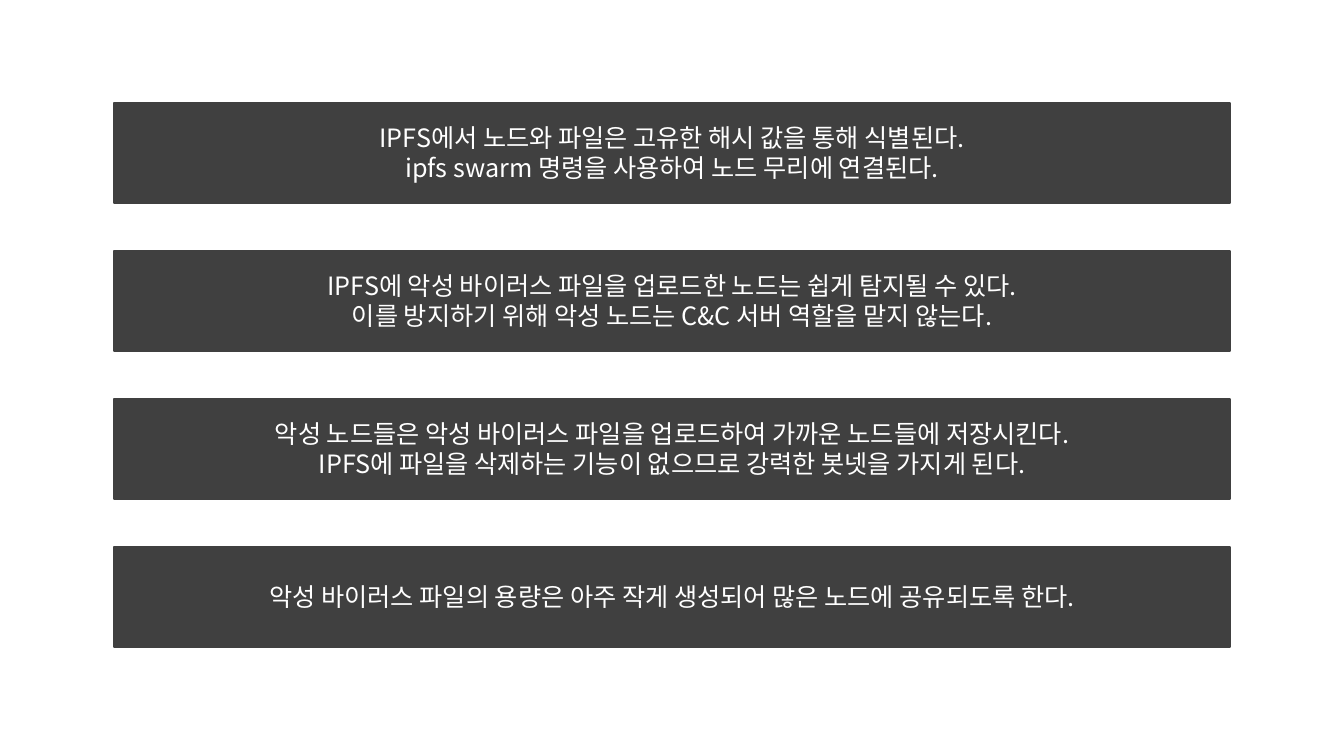
import pptx
import pptx.dml.color
import pptx.enum.shapes
import pptx.enum.text
import pptx.oxml.ns
import pptx.util
from lxml import etree

EMU_PER_PX = 914400 / 100.8
COLORS = {"background": "FFFFFF", "bar": "404040", "text": "FFFFFF"}
FONT = "Noto Sans CJK KR"

BAR_LEFT, BAR_TOP = 114, 103
BAR_WIDTH, BAR_HEIGHT = 1116, 100
BAR_STEP = 148

STATEMENTS = [
    "IPFS에서 노드와 파일은 고유한 해시 값을 통해 식별된다.\n"
    "ipfs swarm 명령을 사용하여 노드 무리에 연결된다.",
    "IPFS에 악성 바이러스 파일을 업로드한 노드는 쉽게 탐지될 수 있다.\n"
    "이를 방지하기 위해 악성 노드는 C&C 서버 역할을 맡지 않는다.",
    "악성 노드들은 악성 바이러스 파일을 업로드하여 가까운 노드들에 저장시킨다.\n"
    "IPFS에 파일을 삭제하는 기능이 없으므로 강력한 봇넷을 가지게 된다.",
    "악성 바이러스 파일의 용량은 아주 작게 생성되어 많은 노드에 공유되도록 한다.",
]


def px(length):
    return pptx.util.Emu(round(length * EMU_PER_PX))


def color(name):
    return pptx.dml.color.RGBColor.from_string(COLORS[name])


class SlideBuilder:
    def __init__(self, presentation):
        self.slide = presentation.slides.add_slide(presentation.slide_layouts[6])
        background = self.slide.background.fill
        background.solid()
        background.fore_color.rgb = color("background")

    def bar(self, left, top, width, height, text):
        shape = self.slide.shapes.add_shape(
            pptx.enum.shapes.MSO_SHAPE.RECTANGLE,
            px(left), px(top), px(width), px(height))
        shape.shadow.inherit = False
        shape.fill.solid()
        shape.fill.fore_color.rgb = color("bar")
        shape.line.color.rgb = color("bar")
        shape.line.width = pptx.util.Pt(1)
        self.centred_text(shape.text_frame, text)

    def centred_text(self, text_frame, text):
        text_frame.text = text
        text_frame.word_wrap = True
        text_frame.vertical_anchor = pptx.enum.text.MSO_ANCHOR.MIDDLE
        for paragraph in text_frame.paragraphs:
            paragraph.alignment = pptx.enum.text.PP_ALIGN.CENTER
            paragraph.line_spacing = pptx.util.Pt(21.4)
            for run in paragraph.runs:
                self.format_run(run)

    def format_run(self, run):
        """Set the font for both Latin and Korean letters."""
        run.font.size = pptx.util.Pt(18)
        run.font.color.rgb = color("text")
        run.font.name = FONT
        latin = run.font._element.find(pptx.oxml.ns.qn("a:latin"))
        east_asian = etree.Element(pptx.oxml.ns.qn("a:ea"), typeface=FONT)
        latin.addnext(east_asian)


def main():
    presentation = pptx.Presentation()
    presentation.slide_width = px(1344)
    presentation.slide_height = px(756)
    builder = SlideBuilder(presentation)
    for index, statement in enumerate(STATEMENTS):
        builder.bar(BAR_LEFT, BAR_TOP + index * BAR_STEP,
                    BAR_WIDTH, BAR_HEIGHT, statement)
    presentation.save("out.pptx")


if __name__ == "__main__":
    main()
